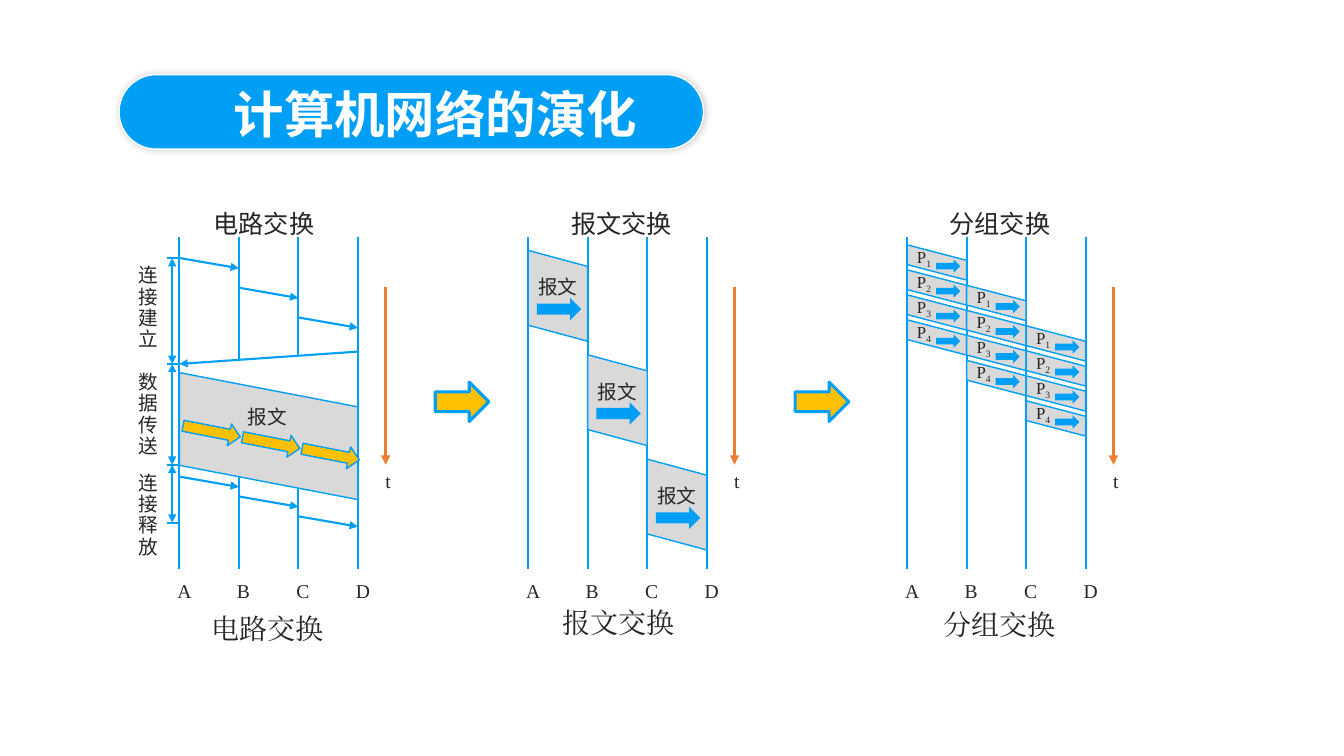
from lxml import etree
from pptx import Presentation
from pptx.dml.color import RGBColor
from pptx.enum.shapes import MSO_CONNECTOR, MSO_SHAPE
from pptx.oxml.ns import qn
from pptx.util import Cm, Pt

STRAIGHT = MSO_CONNECTOR.STRAIGHT
PILL = MSO_SHAPE.ROUNDED_RECTANGLE
SLAB = MSO_SHAPE.PARALLELOGRAM
ARROW = MSO_SHAPE.RIGHT_ARROW

COLORS = {
    "blue": "009FF6",
    "gold": "FFC000",
    "gray": "D9D9D9",
    "orange": "ED7D31",
    "text": "262626",
    "white": "FFFFFF",
    "black": "000000",
}
SANS = "Noto Sans CJK SC"
TITLE_FONT = "Noto Sans CJK JP"
SERIF = "Times New Roman"

PITCH = 1.5
TOP, BOTTOM = 5.97, 14.35
CIRCUIT_X, MESSAGE_X, PACKET_X = 4.52, 13.31, 22.86


def rgb(name):
    return RGBColor.from_string(COLORS[name])


def add_text(s, text, x, y, w, h, size=14, font=SERIF, color="text",
             spacing=1.1, bold=False, sub=None):
    tf = s.shapes.add_textbox(Cm(x), Cm(y), Cm(w), Cm(h)).text_frame
    tf.word_wrap = True
    p = tf.paragraphs[0]
    p.line_spacing = spacing
    p.font.size = Pt(size)
    p.font.bold = bold
    p.font.color.rgb = rgb(color)
    p.font.name = font
    ea = etree.SubElement(p._p.pPr.find(qn("a:defRPr")), qn("a:ea"))
    ea.set("typeface", font)
    p.add_run().text = text
    if sub:
        r = p.add_run()
        r.text = sub
        r._r.get_or_add_rPr().set("baseline", "-25000")


def add_line(s, x1, y1, x2, y2, color="blue", width=1.5, ends=()):
    c = s.shapes.add_connector(STRAIGHT, Cm(x1), Cm(y1), Cm(x2), Cm(y2))
    c.line.color.rgb = rgb(color)
    c.line.width = Pt(width)
    props = c._element.spPr
    for end in ends:
        etree.SubElement(props.find(qn("a:ln")), qn(f"a:{end}")).set("type", "triangle")
    etree.SubElement(props, qn("a:effectLst"))


def add_box(s, kind, x, y, w, h, fill="blue", line=None, width=1, rotation=0, adj=None):
    sp = s.shapes.add_shape(kind, Cm(x), Cm(y), Cm(w), Cm(h))
    sp.shadow.inherit = False
    sp.fill.solid()
    sp.fill.fore_color.rgb = rgb(fill)
    if line:
        sp.line.color.rgb = rgb(line)
        sp.line.width = Pt(width)
    else:
        sp.line.fill.background()
    sp.rotation = rotation
    if adj is not None:
        sp.adjustments[0] = adj
    return sp


def add_slab(s, x, y, w, h, adj):
    add_box(s, SLAB, x + (w - h) / 2, y + (h - w) / 2, h, w, "gray", "blue",
            rotation=90, adj=adj)


def add_title(s):
    sp = add_box(s, PILL, 3, 1.88, 14.73, 1.88, line="white", adj=0.5)
    effects = sp._element.spPr.find(qn("a:effectLst"))
    shadow = etree.SubElement(effects, qn("a:outerShdw"), blurRad=str(Pt(5)), dist="0",
                              algn="ctr", rotWithShape="0")
    tint = etree.SubElement(shadow, qn("a:srgbClr"), val=COLORS["black"])
    etree.SubElement(tint, qn("a:alpha"), val="20000")
    add_text(s, "计算机网络的演化", 5.64, 1.98, 11.3, 1.8, 36, TITLE_FONT, "white", 1, True)


def add_frame(s, name, x, head_dx, caption_dx, caption_y):
    for i, node in enumerate("ABCD"):
        add_text(s, node, x - 0.3 + i * PITCH, 14.4, 0.76, 0.86)
    add_text(s, name, x + head_dx, 5.05, 3.66, 1.07, 18, SANS)
    add_text(s, name, x + caption_dx, caption_y, 3.68, 1.19, 20)
    add_line(s, x + 5.2, 7.24, x + 5.2, 11.71, "orange", 2.25, ["tailEnd"])
    add_text(s, "t", x + 4.94, 11.63, 0.76, 0.86)


def add_lanes(s, x):
    for i in range(4):
        add_line(s, x + i * PITCH, TOP, x + i * PITCH, BOTTOM)


def add_hops(s, y, step):
    for i in range(3):
        x = CIRCUIT_X + i * PITCH
        add_line(s, x, y + i * step, x + PITCH, y + i * step + 0.26, ends=["tailEnd"])


def add_circuit(s):
    x, right = CIRCUIT_X, CIRCUIT_X + 3 * PITCH
    for lane in (x, right):
        add_line(s, lane, TOP, lane, BOTTOM)
    for i, (stop, resume) in enumerate([(9.09, 11.96), (8.94, 12.27)], 1):
        lane = x + i * PITCH
        add_line(s, lane, TOP, lane, stop)
        add_line(s, lane, resume, lane, BOTTOM)
    add_line(s, right, 8.86, x, 9.17, ends=["tailEnd"])

    marks = [6.5, 9.17, 11.71, 13.17]
    for y in marks:
        add_line(s, x - 0.3, y, x, y)
    for start, end in zip(marks, marks[1:]):
        add_line(s, x - 0.18, start, x - 0.18, end, ends=["headEnd", "tailEnd"])
    for phase, y in [("连接建立", 6.58), ("数据传送", 9.27), ("连接释放", 11.81)]:
        add_text(s, phase, 3.25, y, 1.1, 2.41, font=SANS, spacing=0.9)

    add_slab(s, x, 9.39, 3 * PITCH, 3.2, 0.27)
    add_text(s, "报文", 5.99, 10.01, 1.96, 0.89, font=SANS)
    add_hops(s, 6.5, 0.75)
    add_hops(s, 12.01, 0.5)
    for i in range(3):
        add_box(s, ARROW, 4.6 + i * PITCH, 10.59 + i * 0.29, 1.47, 0.56,
                "gold", "blue", rotation=11)


def add_messages(s):
    add_lanes(s, MESSAGE_X)
    for i in range(3):
        x, y = MESSAGE_X + i * PITCH, 6.31 + i * 2.63
        add_slab(s, x, y, PITCH, 2.29, 0.27)
        add_text(s, "报文", x, y + 0.44, 1.96, 0.89, font=SANS)
        add_box(s, ARROW, x + 0.22, y + 1.2, 1.12, 0.56)


def add_packets(s):
    add_lanes(s, PACKET_X)
    for hop in range(3):
        for i in range(4):
            x, y = PACKET_X + hop * PITCH, 6.17 + hop * 1.02 + i * 0.63
            add_slab(s, x, y, PITCH, 0.89, 0.44)
            add_box(s, ARROW, x + 0.73, y + 0.37, 0.61, 0.33)
            add_text(s, "P", x, y - 0.14, 1.14, 0.79, 12, sub=str(i + 1))


def main():
    prs = Presentation()
    prs.slide_width, prs.slide_height = Cm(33.87), Cm(19.05)
    s = prs.slides.add_slide(prs.slide_layouts[6])
    add_title(s)
    add_packets(s)
    add_frame(s, "分组交换", PACKET_X, 0.82, 0.66, 15.11)
    add_circuit(s)
    add_frame(s, "电路交换", CIRCUIT_X, 0.61, 0.56, 15.21)
    add_messages(s)
    add_frame(s, "报文交换", MESSAGE_X, 0.84, 0.61, 15.06)
    for x in (10.97, 20.04):
        add_box(s, ARROW, x, 9.63, 1.35, 0.99, "gold", "blue", 2.25)
    prs.save("out.pptx")


if __name__ == "__main__":
    main()
